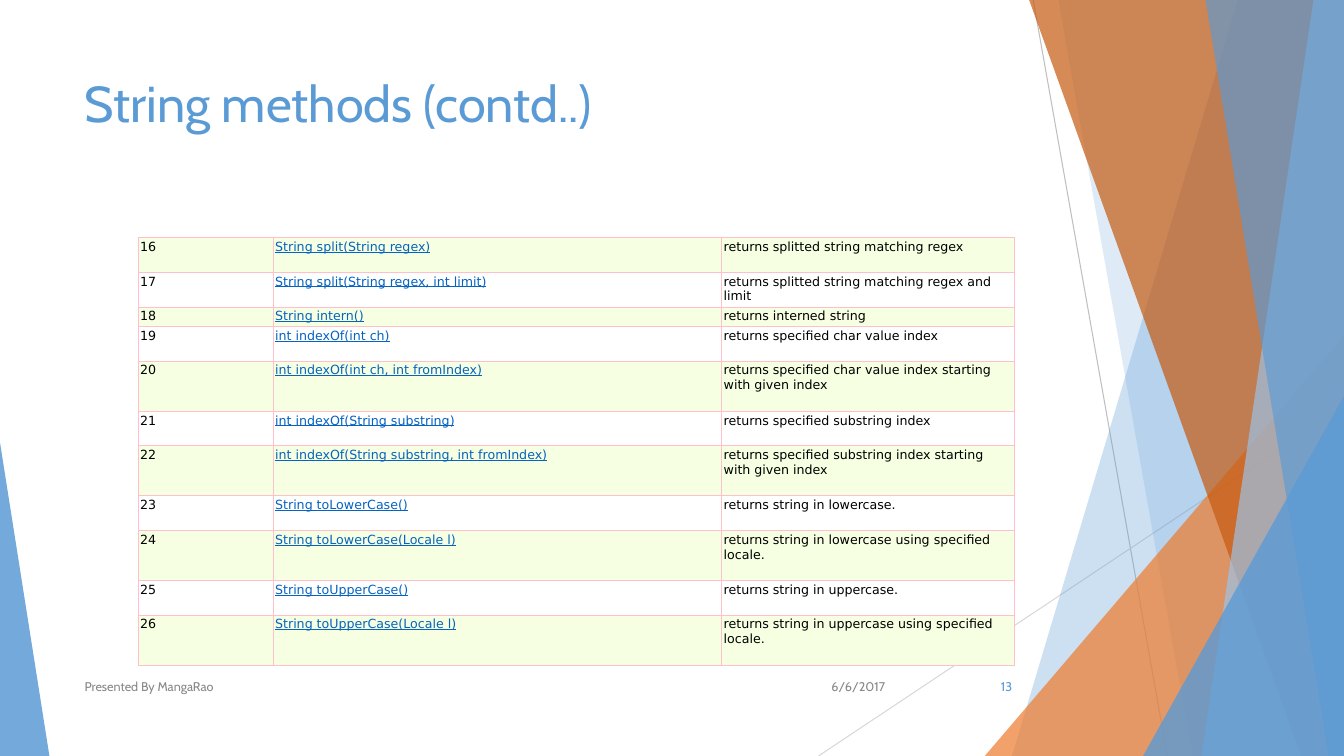
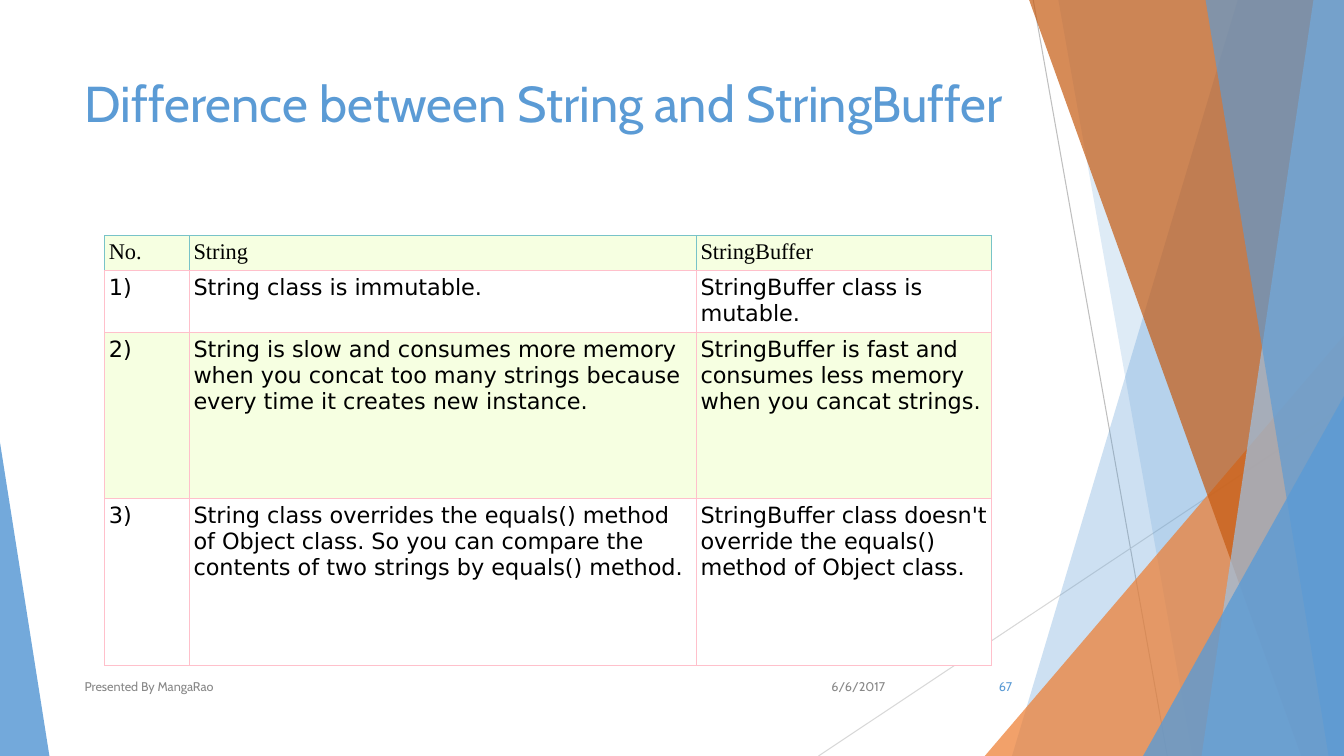
"""Build two slides on Java strings, each a table beside a fan of translucent bands."""
import pptx
import pptx.dml.color
import pptx.enum.shapes
import pptx.enum.text
import pptx.oxml
import pptx.oxml.ns
import pptx.util

RGBColor = pptx.dml.color.RGBColor
Align = pptx.enum.text.PP_ALIGN
Anchor = pptx.enum.text.MSO_ANCHOR

BLUE = RGBColor(0x5B, 0x9B, 0xD5)
PALE_BLUE = RGBColor(0x9C, 0xC2, 0xE5)
ORANGE = RGBColor(0xED, 0x7D, 0x31)
RUST = RGBColor(0xC5, 0x5A, 0x11)
SILVER = RGBColor(0xBF, 0xBF, 0xBF)
LIGHT_SILVER = RGBColor(0xD8, 0xD8, 0xD8)
GREY = RGBColor(0x88, 0x88, 0x88)
BLACK = RGBColor(0, 0, 0)
WHITE = RGBColor(0xFF, 0xFF, 0xFF)
LIME = RGBColor(0xF6, 0xFF, 0xE1)
PINK = RGBColor(0xFF, 0xC0, 0xCB)
TEAL = RGBColor(0x78, 0xC3, 0xC8)
LINK = RGBColor(0x05, 0x63, 0xC1)

COLUMNS, ROWS = 133.33, 75
LEFT, RIGHT = 7.4, 101.4
FOOTER_TOP, FOOTER_HEIGHT = 66.1, 4

METHODS = [
    ("16", "String split(String regex)", "returns splitted string matching regex"),
    ("17", "String split(String regex, int limit)",
     "returns splitted string matching regex and limit"),
    ("18", "String intern()", "returns interned string"),
    ("19", "int indexOf(int ch)", "returns specified char value index"),
    ("20", "int indexOf(int ch, int fromIndex)",
     "returns specified char value index starting with given index"),
    ("21", "int indexOf(String substring)", "returns specified substring index"),
    ("22", "int indexOf(String substring, int fromIndex)",
     "returns specified substring index starting with given index"),
    ("23", "String toLowerCase()", "returns string in lowercase."),
    ("24", "String toLowerCase(Locale l)",
     "returns string in lowercase using specified locale."),
    ("25", "String toUpperCase()", "returns string in uppercase."),
    ("26", "String toUpperCase(Locale l)",
     "returns string in uppercase using specified locale."),
]
METHOD_HEIGHTS = [3.43, 3.43, 1.95] + [3.43, 4.97] * 4

DIFFERENCES = [
    ("No.", "String", "StringBuffer"),
    ("1)", "String class is immutable.", "StringBuffer class is mutable."),
    ("2)", "String is slow and consumes more memory when you concat too many strings "
     "because every time it creates new instance.",
     "StringBuffer is fast and consumes less memory when you cancat strings."),
    ("3)", "String class overrides the equals() method of Object class. So you can compare "
     "the contents of two strings by equals() method.",
     "StringBuffer class doesn't override the equals() method of Object class."),
]


def grid(units):
    """Turn grid units, a tenth of an inch each, into a length."""
    return pptx.util.Inches(units / 10)


class Deck:
    """Hold the shared style and the slide being built."""

    def __init__(self):
        """Start an empty wide presentation."""
        self.presentation = pptx.Presentation()
        self.presentation.slide_width = grid(COLUMNS)
        self.presentation.slide_height = grid(ROWS)
        self.slide = None

    def start(self, title, number):
        """Add a slide with its title, decoration and footer."""
        self.slide = self.presentation.slides.add_slide(self.presentation.slide_layouts[5])
        self.title(title)
        self.decorate()
        self.label("6/6/2017", 78.8, 10, GREY, Align.RIGHT)
        self.label("Presented By MangaRao", LEFT, 68.9, GREY, Align.LEFT)
        self.label(number, 93.9, 7.5, BLUE, Align.RIGHT)

    def add_text(self, frame, text, size, color, font="Cabin", align=Align.LEFT, underline=None):
        """Put one styled run in a text frame."""
        frame.word_wrap = True
        paragraph = frame.paragraphs[0]
        paragraph.alignment = align
        run = paragraph.add_run()
        run.text = text
        run.font.name = font
        run.font.size = pptx.util.Pt(size)
        run.font.color.rgb = color
        run.font.underline = underline

    def title(self, text):
        """Move and fill the title placeholder."""
        shape = self.slide.shapes.title
        shape.left, shape.top = grid(LEFT), grid(6.7)
        shape.width, shape.height = grid(RIGHT - LEFT), grid(14.4)
        shape.text_frame.auto_size = pptx.enum.text.MSO_AUTO_SIZE.NONE
        shape.text_frame.vertical_anchor = Anchor.TOP
        self.add_text(shape.text_frame, text, 36, BLUE)

    def label(self, text, left, width, color, align):
        """Add a small text in the footer row."""
        box = self.slide.shapes.add_textbox(
            grid(left), grid(FOOTER_TOP), grid(width), grid(FOOTER_HEIGHT))
        box.text_frame.vertical_anchor = Anchor.MIDDLE
        self.add_text(box.text_frame, text, 9, color, align=align)

    def line(self, start, end, color):
        """Draw a thin straight line."""
        connector = self.slide.shapes.add_connector(
            pptx.enum.shapes.MSO_CONNECTOR.STRAIGHT, *map(grid, start + end))
        connector.line.color.rgb = color
        connector.line.width = pptx.util.Pt(0.75)
        properties = connector.element.spPr
        properties.append(properties.makeelement(pptx.oxml.ns.qn("a:effectLst"), {}))

    def tint(self, shape, color, opacity):
        """Fill a shape with a translucent colour and no outline."""
        shape.shadow.inherit = False
        shape.fill.solid()
        shape.fill.fore_color.rgb = color
        shade = shape.element.spPr.find(".//" + pptx.oxml.ns.qn("a:srgbClr"))
        shade.append(shade.makeelement(
            pptx.oxml.ns.qn("a:alpha"), {"val": str(opacity * 1000)}))
        shape.line.fill.background()

    def band(self, top_column, bottom_column, color, opacity):
        """Draw a full-height band from a slanted edge to the right side."""
        builder = self.slide.shapes.build_freeform(grid(top_column), 0)
        corners = [(COLUMNS, 0), (COLUMNS, ROWS), (bottom_column, ROWS)]
        builder.add_line_segments([tuple(map(grid, corner)) for corner in corners], close=True)
        self.tint(builder.convert_to_shape(), color, opacity)

    def triangle(self, left, right, top, peak, color, opacity):
        """Draw a triangle that stands on the bottom of the slide."""
        shape = self.slide.shapes.add_shape(
            pptx.enum.shapes.MSO_SHAPE.ISOSCELES_TRIANGLE,
            grid(left), grid(top), grid(right - left), grid(ROWS - top))
        shape.adjustments[0] = peak
        self.tint(shape, color, opacity)

    def decorate(self):
        """Draw the lines, bands and triangles shared by all slides."""
        self.line((102.5, 0), (115.8, ROWS), SILVER)
        self.line((COLUMNS, 40.3), (81.2, ROWS), LIGHT_SILVER)
        self.band(122.8, 100.4, BLUE, 30)
        self.band(105, 118.3, BLUE, 20)
        self.triangle(97.7, COLUMNS, 33.3, 1, ORANGE, 72)
        self.band(102.1, 129.1, RUST, 70)
        self.band(130.3, 119.2, PALE_BLUE, 70)
        self.band(119.6, 131.8, BLUE, 65)
        self.triangle(113.4, COLUMNS, 39.3, 1, BLUE, 80)
        self.triangle(0, 4.9, 43.9, 0, BLUE, 85)

    def border(self, cell, colors):
        """Line a cell on its left, right, top and bottom."""
        properties = cell._tc.get_or_add_tcPr()
        for side, color in zip("LRTB", colors):
            properties.append(pptx.oxml.parse_xml(
                f'<a:ln{side} {pptx.oxml.ns.nsdecls("a")} w="9525"><a:solidFill>'
                f'<a:srgbClr val="{color}"/></a:solidFill></a:ln{side}>'))

    def table(self, left, top, widths, heights, records, size, margin,
              header=False, linked_column=None):
        """Add a striped table with thin cell borders."""
        table = self.slide.shapes.add_table(
            len(records), len(widths), grid(left), grid(top),
            grid(sum(widths)), grid(sum(heights))).table
        table.first_row = table.horz_banding = False
        for column, width in zip(table.columns, widths):
            column.width = grid(width)
        for index, (row, height, record) in enumerate(zip(table.rows, heights, records)):
            row.height = grid(height)
            heading = header and index == 0
            for position, (cell, text) in enumerate(zip(row.cells, record)):
                cell.margin_left = cell.margin_right = grid(margin)
                cell.margin_top = cell.margin_bottom = grid(margin)
                self.border(cell, [TEAL] * 3 + [PINK] if heading else [PINK] * 4)
                cell.fill.solid()
                cell.fill.fore_color.rgb = WHITE if index % 2 else LIME
                linked = position == linked_column
                self.add_text(cell.text_frame, text, size, LINK if linked else BLACK,
                              "Times New Roman" if heading else "DejaVu Sans",
                              underline=linked)


def main():
    """Build and save both slides."""
    deck = Deck()
    deck.start("String methods (contd..)", "13")
    deck.table(13.7, 23.6, [13.4, 44.5, 29], METHOD_HEIGHTS, METHODS, 9, 0.2,
               linked_column=1)
    deck.start("Difference between String and StringBuffer", "67")
    deck.table(10.4, 23.4, [8.4, 50.3, 29.3], [3.35, 6.05, 16.5, 16.5], DIFFERENCES, 16, 0.4,
               header=True)
    deck.presentation.save("out.pptx")


if __name__ == "__main__":
    main()
